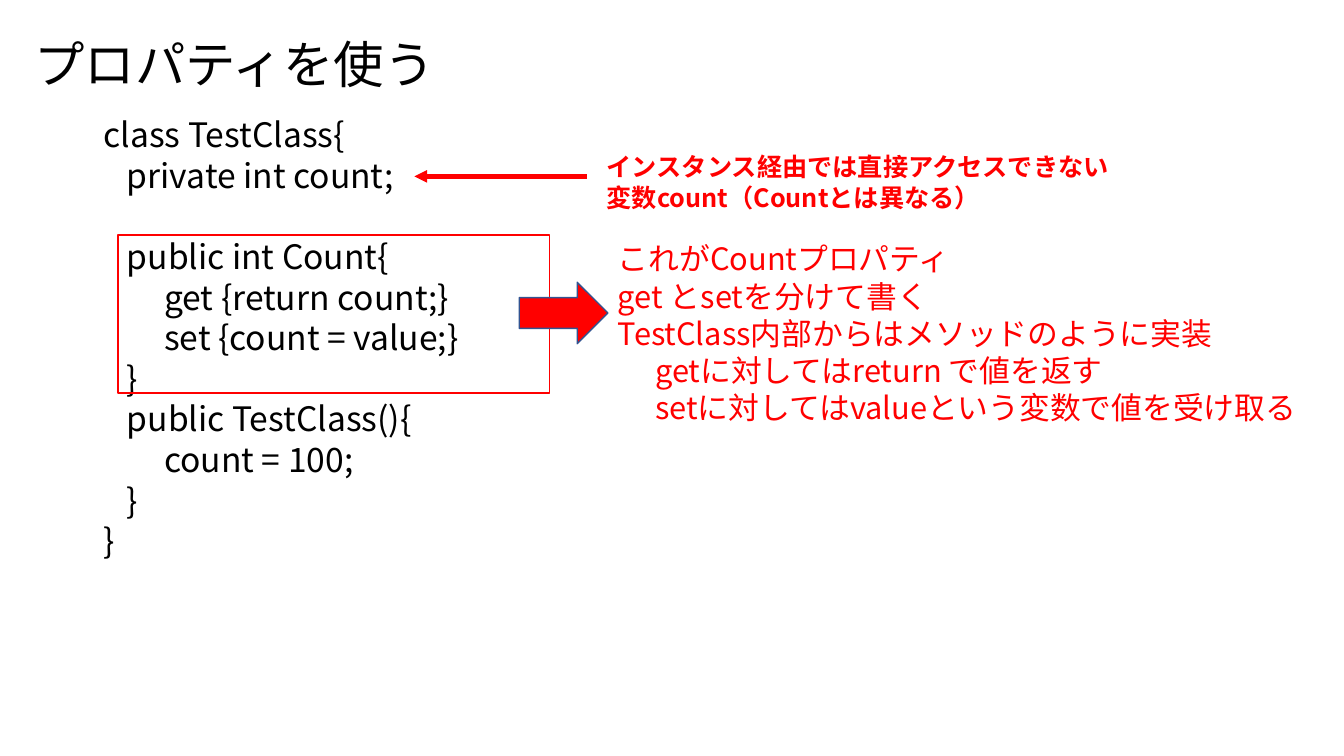
from pptx import Presentation
from pptx.dml.color import RGBColor
from pptx.enum.shapes import MSO_CONNECTOR, MSO_SHAPE
from pptx.enum.text import MSO_ANCHOR, MSO_AUTO_SIZE, PP_ALIGN
from pptx.oxml.ns import qn
from pptx.util import Inches, Pt
from lxml.etree import SubElement

FONT = "Noto Sans CJK JP"
BLACK = RGBColor(0x00, 0x00, 0x00)
RED = RGBColor(0xFF, 0x00, 0x00)
BLUE = RGBColor(0x32, 0x54, 0x91)
LINE_PITCH = 1.21

# Each line is (indent in inches, text)
MEMBER, STATEMENT = 0.23, 0.6
FIELD_CODE = [(0, "class TestClass{"), (MEMBER, "private int count;")]
PROPERTY_CODE = [
    (MEMBER, "public int Count{"),
    (STATEMENT, "get {return count;}"),
    (STATEMENT, "set {count = value;}"),
    (MEMBER, "}"),
    (MEMBER, "public TestClass(){"),
    (STATEMENT, "count = 100;"),
    (MEMBER, "}"),
    (0, "}"),
]
FIELD_NOTE = [(0, "インスタンス経由では直接アクセスできない変数count（Countとは異なる）")]
PROPERTY_NOTE = [
    (0, "これがCountプロパティ"),
    (0, "get とsetを分けて書く"),
    (0, "TestClass内部からはメソッドのように実装"),
    (0.37, "getに対してはreturn で値を返す"),
    (0.37, "setに対してはvalueという変数で値を受け取る"),
]


def style_paragraph(paragraph, size, color, bold=False):
    paragraph.alignment = PP_ALIGN.LEFT
    paragraph.line_spacing = Pt(round(size * LINE_PITCH, 1))
    font = paragraph.font
    font.name, font.size, font.bold = FONT, Pt(size), bold
    font.color.rgb = color
    # East Asian text takes its typeface from a separate element
    defaults = paragraph._p.pPr.find(qn("a:defRPr"))
    SubElement(defaults, qn("a:ea"), typeface=FONT)


def add_lines(slide, box, lines, size, color, bold=False):
    text_box = slide.shapes.add_textbox(*map(Inches, box))
    frame = text_box.text_frame
    frame.word_wrap = True
    for number, (indent, text) in enumerate(lines):
        paragraph = frame.add_paragraph() if number else frame.paragraphs[0]
        paragraph.text = text
        style_paragraph(paragraph, size, color, bold)
        paragraph._p.pPr.set("marL", str(Inches(indent)))
    return frame


def add_title(slide, left, top, width, height):
    title = slide.shapes.title
    title.left, title.top = Inches(left), Inches(top)
    title.width, title.height = Inches(width), Inches(height)
    frame = title.text_frame
    frame.text = "プロパティを使う"
    frame.auto_size = MSO_AUTO_SIZE.NONE
    frame.vertical_anchor = MSO_ANCHOR.MIDDLE
    style_paragraph(frame.paragraphs[0], 36, BLACK)


def add_code(slide, left, top, width, height):
    size = 24
    frame = add_lines(slide, (left, top, width, height),
                      FIELD_CODE + PROPERTY_CODE, size, BLACK)
    # One line of space between the field and the property
    first_property_line = frame.paragraphs[len(FIELD_CODE)]
    first_property_line.space_before = Pt(size * LINE_PITCH)


def add_field_note(slide, left, top, width, height):
    # Thin arrow pointing left at the private field
    arrow_y = Inches(top + 0.3)
    arrow = slide.shapes.add_connector(
        MSO_CONNECTOR.STRAIGHT,
        Inches(left - 0.1), arrow_y, Inches(left - 1.81), arrow_y)
    arrow.line.color.rgb = RED
    arrow.line.width = Pt(3)
    SubElement(arrow.line._get_or_add_ln(), qn("a:tailEnd"), type="triangle")
    SubElement(arrow._element.spPr, qn("a:effectLst"))

    add_lines(slide, (left, top, width, height), FIELD_NOTE, 18, RED, True)


def add_outlined_shape(slide, kind, box, line_color):
    shape = slide.shapes.add_shape(kind, *map(Inches, box))
    shape.shadow.inherit = False
    shape.line.color.rgb = line_color
    shape.line.width = Pt(1)
    return shape


def add_property_note(slide, left, top, width, height):
    # Frame around the property and block arrow leading to its note
    frame = add_outlined_shape(slide, MSO_SHAPE.RECTANGLE,
                               (left - 4.86, top, 4.28, 1.57), RED)
    frame.fill.background()
    arrow = add_outlined_shape(slide, MSO_SHAPE.RIGHT_ARROW,
                               (left - 0.88, top + 0.47, 0.88, 0.61), BLUE)
    arrow.fill.solid()
    arrow.fill.fore_color.rgb = RED

    add_lines(slide, (left, top, width, height), PROPERTY_NOTE, 22, RED)


def main():
    presentation = Presentation()
    presentation.slide_width = Inches(13.33)
    presentation.slide_height = Inches(7.5)
    slide = presentation.slides.add_slide(presentation.slide_layouts[5])

    add_title(slide, 0.24, 0.27, 9.55, 0.71)
    add_code(slide, 0.93, 1.08, 4.04, 4.54)
    add_field_note(slide, 5.92, 1.45, 5.37, 0.71)
    add_property_note(slide, 6.03, 2.33, 7.18, 1.95)
    presentation.save("out.pptx")


if __name__ == "__main__":
    main()
